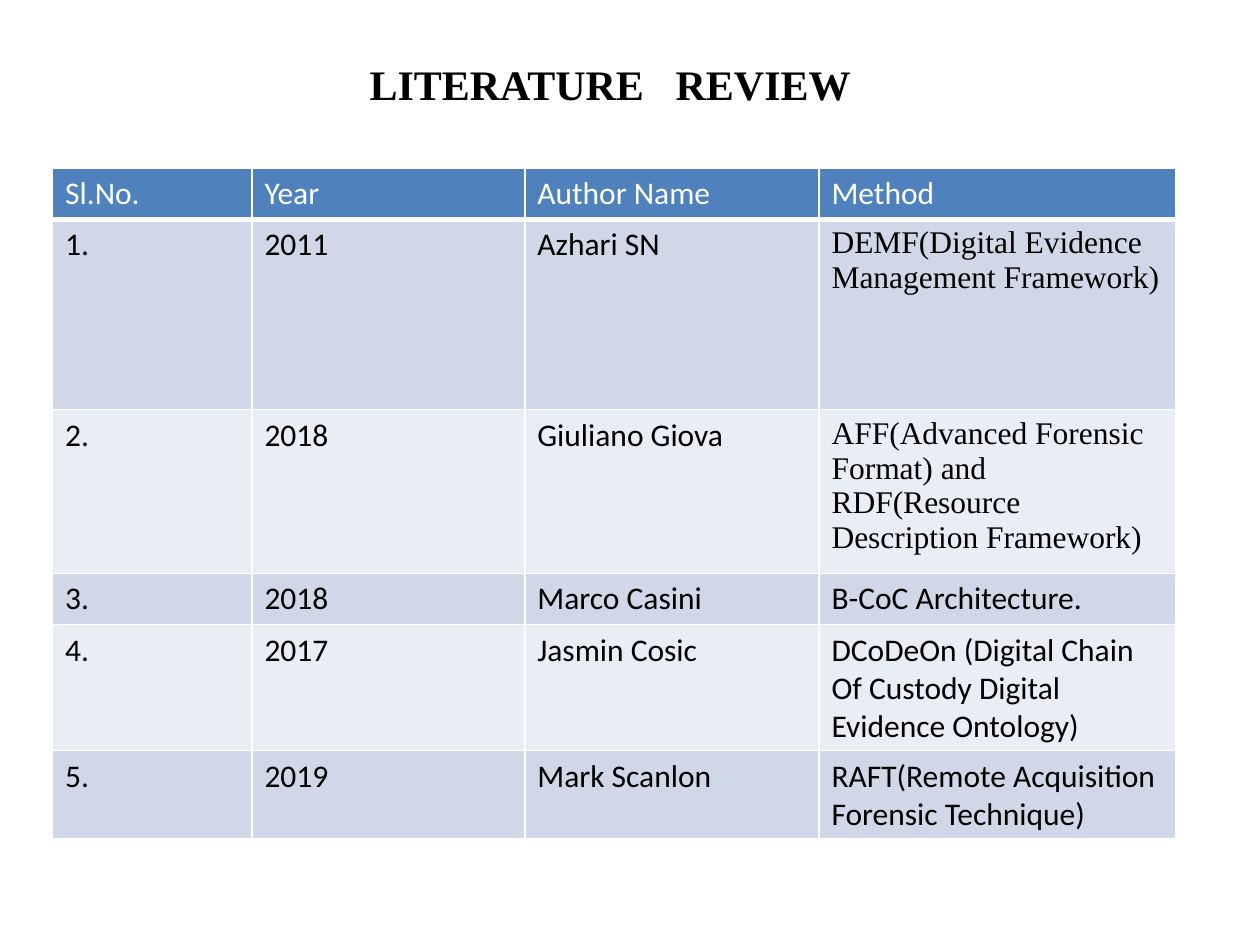
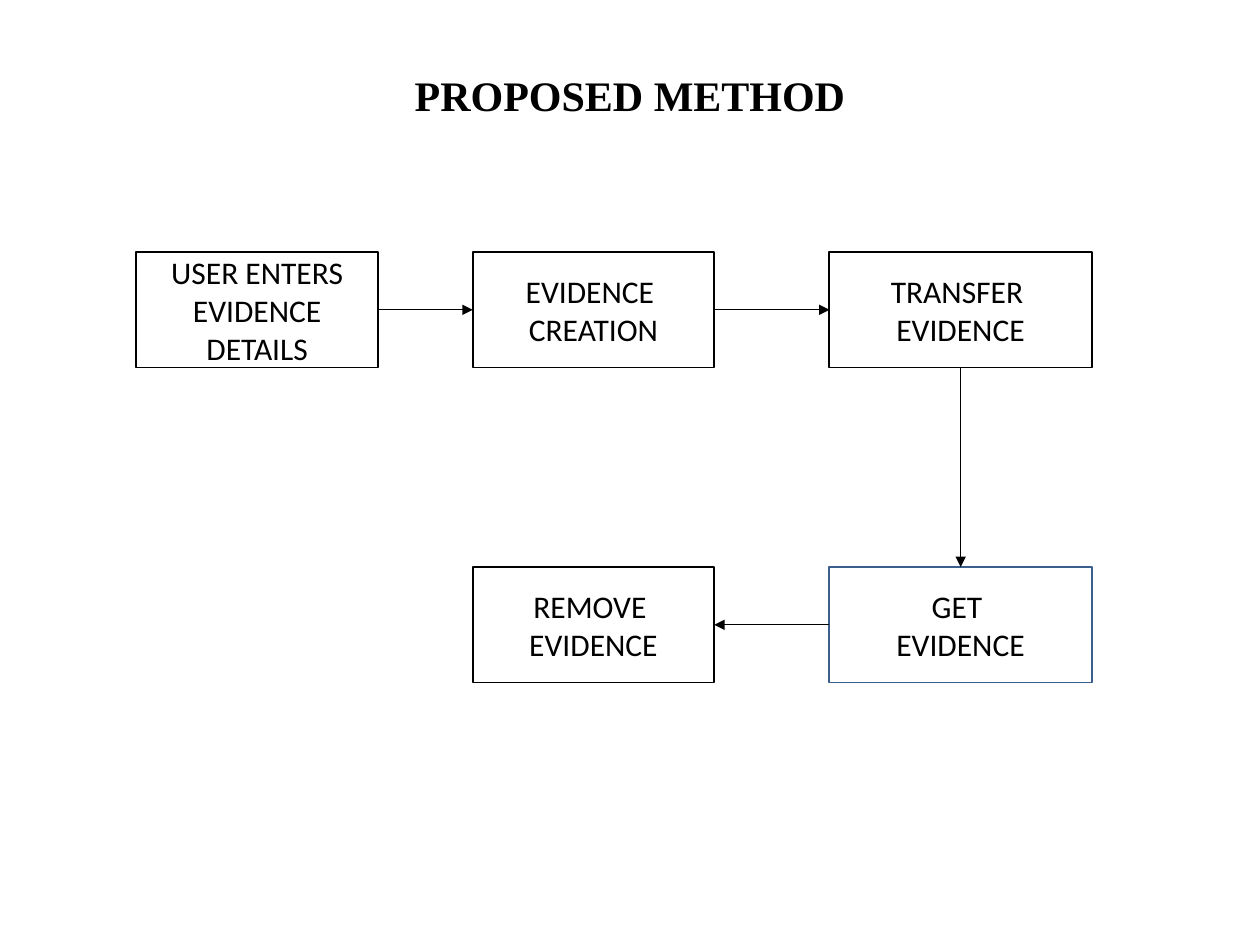
from lxml import etree
from pptx import Presentation
from pptx.dml.color import RGBColor
from pptx.enum.shapes import MSO_CONNECTOR, MSO_SHAPE
from pptx.enum.text import MSO_ANCHOR, PP_ALIGN
from pptx.oxml.ns import qn
from pptx.util import Cm, Pt

LEFT, CENTER, JUSTIFY = PP_ALIGN.LEFT, PP_ALIGN.CENTER, PP_ALIGN.JUSTIFY
TOP, MIDDLE = MSO_ANCHOR.TOP, MSO_ANCHOR.MIDDLE
RECTANGLE, STRAIGHT = MSO_SHAPE.RECTANGLE, MSO_CONNECTOR.STRAIGHT
TOP_SIDE, LEFT_SIDE, BOTTOM_SIDE, RIGHT_SIDE = range(4)

SANS, SERIF = "Calibri", "Times New Roman"
BLACK, WHITE, BLUE_LINE = "000000", "FFFFFF", "3A5F8C"
HEADER_FILL, BAND_FILLS = "4F81BD", ("D0D8E8", "E9EDF4")


def rgb(hex_color):
    return RGBColor.from_string(hex_color)


def write(frame, text, size=18, font=SANS, color=BLACK, bold=False,
          align=LEFT, anchor=TOP, word_gap=0):
    """Fill a text frame: one paragraph a line; word_gap (pt) widens the spaces."""
    frame.word_wrap = True
    frame.vertical_anchor = anchor
    for number, line in enumerate(text.split("\n")):
        paragraph = frame.paragraphs[0] if number == 0 else frame.add_paragraph()
        paragraph.alignment = align
        pieces = line.replace(" ", "\t \t").split("\t") if word_gap else [line]
        for piece in pieces:
            run = paragraph.add_run()
            run.text = piece
            run.font.size, run.font.name, run.font.bold = Pt(size), font, bold
            run.font.color.rgb = rgb(color)
            if word_gap and piece == " ":
                run.font._element.set("spc", str(word_gap * 100))


class Deck:
    """Holds the presentation, its shared style and the current slide."""

    def __init__(self):
        self.presentation = Presentation()
        self.presentation.slide_width = Cm(25.4)
        self.presentation.slide_height = Cm(19.05)
        self.slide = None

    def add_slide(self):
        self.slide = self.presentation.slides.add_slide(
            self.presentation.slide_layouts[6])

    def title(self, text, left, top, width, **text_format):
        shape = self.slide.shapes.add_textbox(Cm(left), Cm(top), Cm(width), Cm(1.27))
        write(shape.text_frame, text, size=24, font=SERIF, bold=True, **text_format)

    def box(self, text, left, top, width, height, line=BLACK):
        shape = self.slide.shapes.add_shape(
            RECTANGLE, Cm(left), Cm(top), Cm(width), Cm(height))
        shape.shadow.inherit = False
        shape.fill.solid()
        shape.fill.fore_color.rgb = rgb(WHITE)
        shape.line.color.rgb = rgb(line)
        shape.line.width = Pt(1)
        write(shape.text_frame, text, align=CENTER, anchor=MIDDLE)
        return shape

    def arrow(self, start, start_side, end, end_side):
        connector = self.slide.shapes.add_connector(STRAIGHT, 0, 0, 0, 0)
        connector.begin_connect(start, start_side)
        connector.end_connect(end, end_side)
        connector.line.color.rgb = rgb(BLACK)
        connector.line.width = Pt(0.75)
        line = connector.line._get_or_add_ln()
        etree.SubElement(line, qn("a:tailEnd"), type="triangle")
        etree.SubElement(connector._element.spPr, qn("a:effectLst"))

    def cell(self, cell, text, fill, bottom_border=1, **text_format):
        properties = cell._tc.get_or_add_tcPr()
        for side, width in (("L", 1), ("R", 1), ("T", 1), ("B", bottom_border)):
            border = etree.SubElement(properties, qn(f"a:ln{side}"), w=str(Pt(width)))
            paint = etree.SubElement(border, qn("a:solidFill"))
            etree.SubElement(paint, qn("a:srgbClr"), val=WHITE)
        cell.fill.solid()
        cell.fill.fore_color.rgb = rgb(fill)
        write(cell.text_frame, text, **text_format)

    def table(self, rows, left, top, widths, heights, formats):
        """Draw a header and banded rows; formats maps (row, column) to text format."""
        table = self.slide.shapes.add_table(
            len(rows), len(widths), Cm(left), Cm(top),
            Cm(sum(widths)), Cm(sum(heights))).table
        for column, width in zip(table.columns, widths):
            column.width = Cm(width)
        for r, (values, height) in enumerate(zip(rows, heights)):
            table.rows[r].height = Cm(height)
            for c, value in enumerate(values):
                if r == 0:
                    self.cell(table.cell(r, c), value, HEADER_FILL,
                              bottom_border=3, color=WHITE)
                else:
                    self.cell(table.cell(r, c), value, BAND_FILLS[(r - 1) % 2],
                              **formats.get((r, c), {}))


def literature_review(deck):
    deck.add_slide()
    deck.title("LITERATURE REVIEW", 7.2, 1.06, 13.55, word_gap=12)
    rows = [
        ("Sl.No.", "Year", "Author Name", "Method"),
        ("1.", "2011", "Azhari SN", "DEMF(Digital Evidence Management Framework)"),
        ("2.", "2018", "Giuliano Giova",
         "AFF(Advanced Forensic Format) and RDF(Resource Description Framework)"),
        ("3.", "2018", "Marco Casini", "B-CoC Architecture."),
        ("4.", "2017", "Jasmin Cosic",
         "DCoDeOn (Digital Chain Of Custody Digital Evidence Ontology)"),
        ("5.", "2019", "Mark Scanlon", "RAFT(Remote Acquisition Forensic Technique)"),
    ]
    # Years are justified; the first two methods are set in the serif font
    formats = {(row, 1): {"align": JUSTIFY} for row in range(1, len(rows))}
    formats.update({(row, 3): {"font": SERIF} for row in (1, 2)})
    deck.table(rows, 1.06, 3.39, widths=(4.02, 5.5, 5.93, 7.2),
               heights=(1.03, 3.84, 3.3, 1.03, 2.54, 1.78), formats=formats)


def proposed_method(deck):
    deck.add_slide()
    deck.title("PROPOSED METHOD", 7.83, 1.27, 9.74, align=CENTER)

    # Flow chart grid: (left, width) of each column, top of each row
    columns = ((2.75, 4.87), (9.53, 4.87), (16.72, 5.29))
    row_tops, height = (5.08, 11.43), 2.33

    def step(text, column, row, **style):
        left, width = columns[column]
        return deck.box(text, left, row_tops[row], width, height, **style)

    enter = step("USER ENTERS EVIDENCE DETAILS", 0, 0)
    create = step("EVIDENCE \nCREATION", 1, 0)
    transfer = step("TRANSFER \nEVIDENCE", 2, 0)
    get = step("GET \nEVIDENCE", 2, 1, line=BLUE_LINE)
    remove = step("REMOVE \nEVIDENCE", 1, 1)

    # Arrows in order of the flow
    deck.arrow(enter, RIGHT_SIDE, create, LEFT_SIDE)
    deck.arrow(create, RIGHT_SIDE, transfer, LEFT_SIDE)
    deck.arrow(transfer, BOTTOM_SIDE, get, TOP_SIDE)
    deck.arrow(get, LEFT_SIDE, remove, RIGHT_SIDE)


def main():
    deck = Deck()
    literature_review(deck)
    proposed_method(deck)
    deck.presentation.save("out.pptx")


if __name__ == "__main__":
    main()
